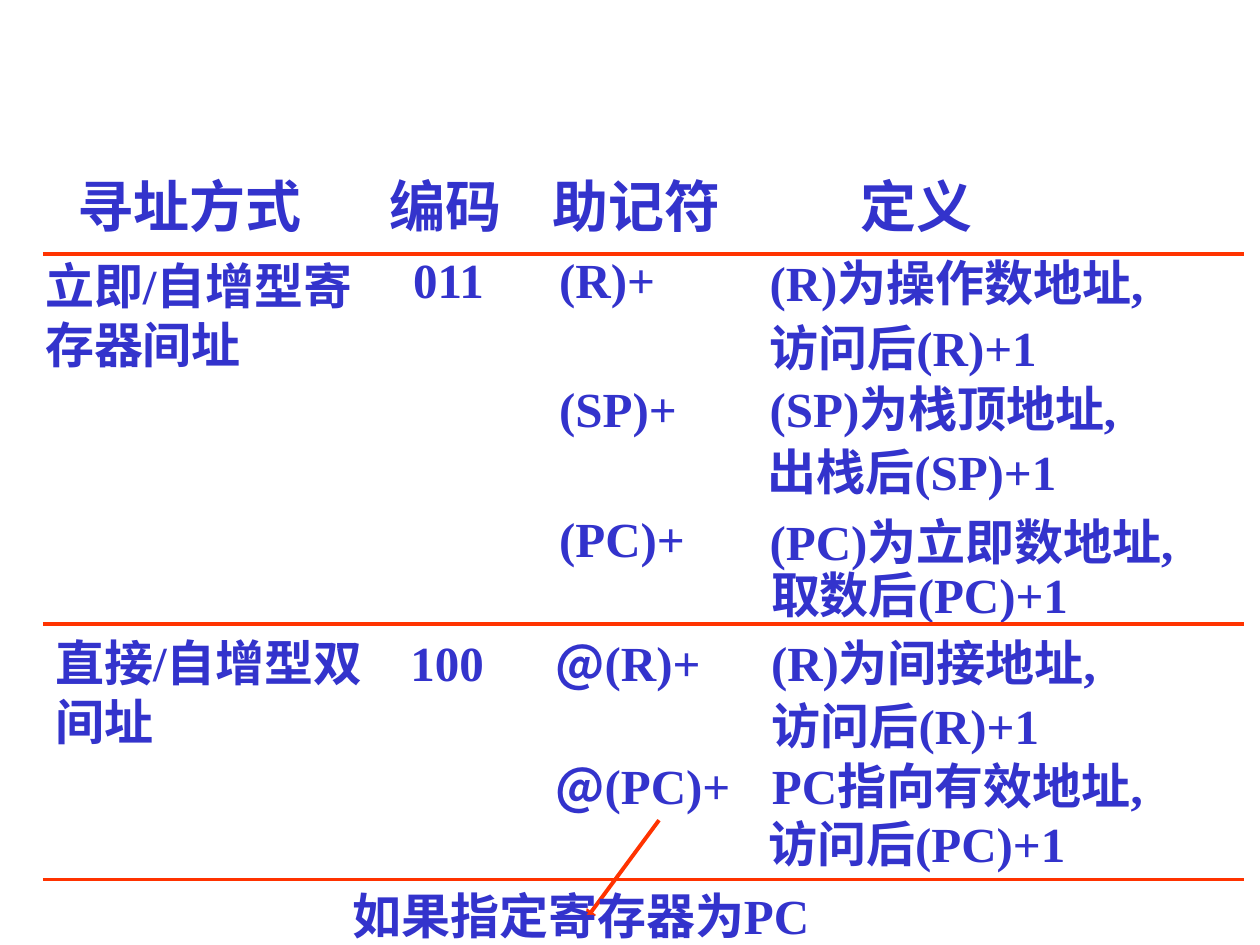
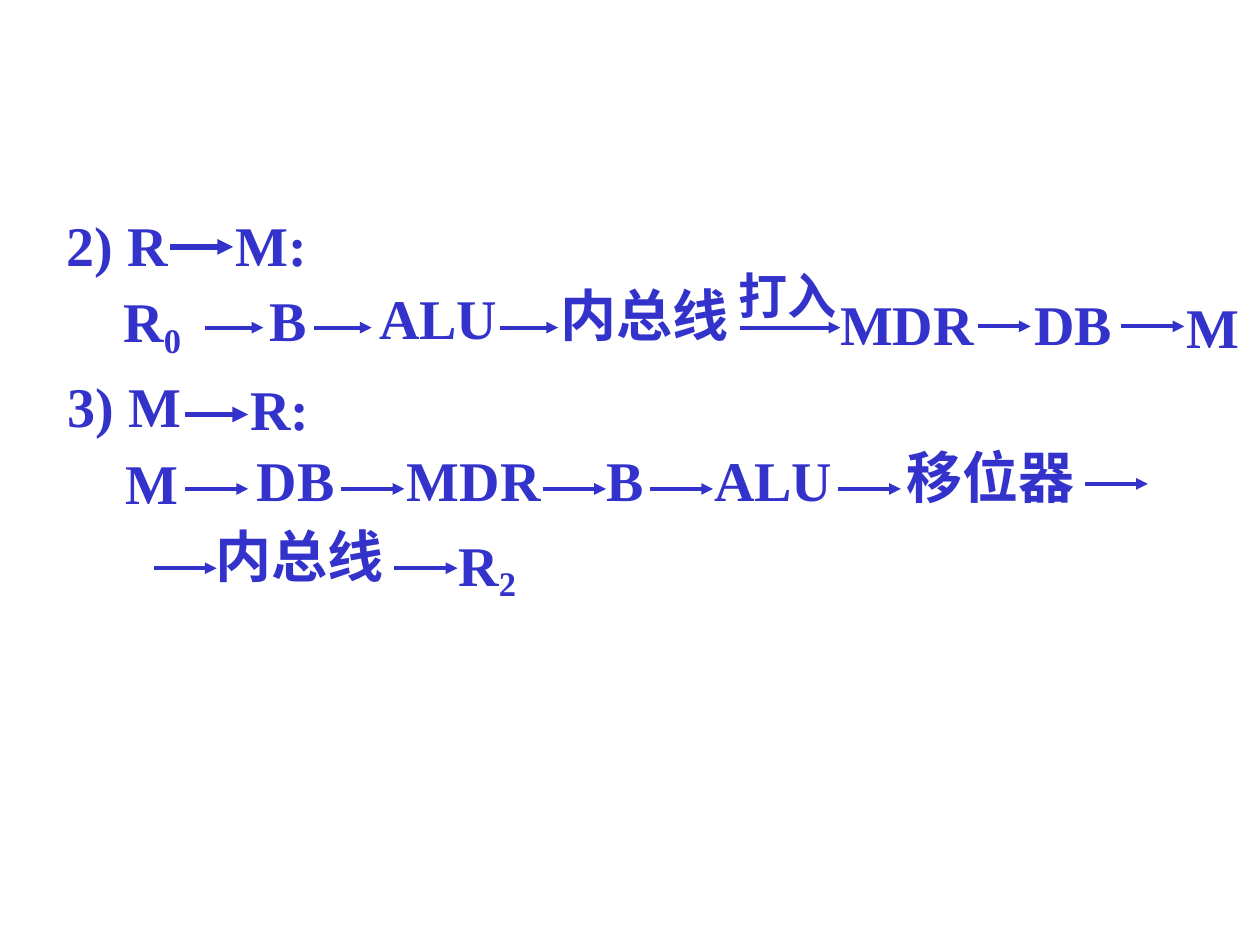
from dataclasses import dataclass

from lxml import etree
from pptx import Presentation
from pptx.dml.color import RGBColor
from pptx.enum.shapes import MSO_CONNECTOR
from pptx.enum.text import MSO_AUTO_SIZE
from pptx.oxml.ns import qn
from pptx.util import Pt

STRAIGHT = MSO_CONNECTOR.STRAIGHT
FIT_TEXT = MSO_AUTO_SIZE.SHAPE_TO_FIT_TEXT


@dataclass(frozen=True)
class Theme:
    ink: RGBColor = RGBColor(0x33, 0x33, 0xCC)
    accent: RGBColor = RGBColor(0xFF, 0x33, 0x00)
    font: str = "Times New Roman"
    symbol_font: str = "Noto Sans CJK KR"
    large: float = 32
    body: float = 28
    subscript: float = 34
    thin: float = 2.25
    thick: float = 3


class Deck:
    """Holds the theme and the slide being drawn."""

    def __init__(self, theme):
        self.theme = theme
        self.presentation = Presentation()
        self.presentation.slide_width = Pt(720)
        self.presentation.slide_height = Pt(540)
        self.slide = None

    def new_slide(self):
        self.slide = self.presentation.slides.add_slide(self.presentation.slide_layouts[6])

    def text(self, left, top, width, content, size, symbol="", subscript=""):
        """Bold label, optionally led by a symbol or followed by a subscript."""
        theme = self.theme
        height = size * 1.2 + 7.2
        box = self.slide.shapes.add_textbox(Pt(left), Pt(top), Pt(width), Pt(height))
        frame = box.text_frame
        frame.word_wrap = True
        frame.auto_size = FIT_TEXT
        paragraph = frame.paragraphs[0]
        font = paragraph.font
        font.bold = True
        font.size = Pt(size)
        font.color.rgb = theme.ink
        if not symbol:
            font.name = theme.font
        for part in filter(None, (symbol, content, subscript)):
            run = paragraph.add_run()
            run.text = part
            if symbol:
                run.font.name = theme.symbol_font if part == symbol else theme.font
        if subscript:
            run.font.size = Pt(theme.subscript)
            run.font._element.set("baseline", "-18000")

    def line(self, start, end, color, weight, arrow=False):
        connector = self.slide.shapes.add_connector(STRAIGHT, *map(Pt, start + end))
        connector.line.color.rgb = color
        connector.line.width = Pt(weight)
        if arrow:
            outline = connector.line._get_or_add_ln()
            etree.SubElement(outline, qn("a:tailEnd"), type="triangle")
        etree.SubElement(connector._element.spPr, qn("a:effectLst"))

    def rule(self, top):
        self.line((24.5, top), (710.6, top), self.theme.accent, self.theme.thin)

    def flow_arrow(self, left, top, length=36, weight=None):
        self.line((left, top), (left + length, top), self.theme.ink,
                  weight or self.theme.thin, arrow=True)

    def save(self):
        self.presentation.save("out.pptx")


def addressing_modes(deck):
    theme = deck.theme
    deck.new_slide()

    # Column headings
    for left, width, heading in ((37, 150, "寻址方式"), (215.5, 90, "编码"),
                                 (308.5, 115, "助记符"), (484.5, 90, "定义")):
        deck.text(left, 94.3, width, heading, theme.large)

    # Modes and codes
    for left, top, mode in ((18.7, 142.6, "立即/自增型寄存器间址"),
                            (24.5, 358, "直接/自增型双间址")):
        deck.text(left, top, 192.2, mode, theme.body)
    for left, top, code in ((229, 139, "011"), (227.5, 358, "100")):
        deck.text(left, top, 75, code, theme.body)

    # Mnemonics
    for top, mnemonic in ((139, "(R)+"), (213, "(SP)+"), (287.3, "(PC)+")):
        deck.text(312.5, top, 102, mnemonic, theme.body)
    for top, mnemonic in ((358, "(R)+"), (428.4, "(PC)+")):
        deck.text(310.3, top, 132, mnemonic, theme.body, symbol="@")

    # Definitions
    definitions = (
        (432.7, 141, "(R)为操作数地址,"),
        (432.7, 177.8, "访问后(R)+1"),
        (432.7, 213, "(SP)为栈顶地址,"),
        (431.5, 249, "出栈后(SP)+1"),
        (432.7, 288.7, "(PC)为立即数地址,"),
        (433.5, 319, "取数后(PC)+1"),
        (433.5, 358, "(R)为间接地址,"),
        (434, 394, "访问后(R)+1"),
        (434, 428.4, "PC指向有效地址,"),
        (432, 461.5, "访问后(PC)+1"),
    )
    for left, top, definition in definitions:
        deck.text(left, top, 275, definition, theme.body)

    # Rules and the note on PC
    for top in (145.4, 356.4, 502.6):
        deck.rule(top)
    deck.line((376.6, 468.7), (334, 526.3), theme.accent, theme.thin, arrow=True)
    deck.text(194.4, 502.6, 352.8, "如果指定寄存器为PC", theme.body)


def transfer_paths(deck):
    theme = deck.theme
    deck.new_slide()

    # Transfer headings
    headings = (
        (31, 116.6, "2) R", 127.4, 116.6, "M:", 97.2, 141.1),
        (31.7, 208.8, "3) M", 136, 210.2, "R:", 105.8, 236.9),
    )
    for left, top, source, target_left, target_top, target, arrow_left, arrow_top in headings:
        deck.text(left, top, 84, source, theme.large)
        deck.text(target_left, target_top, 84, target, theme.large)
        deck.flow_arrow(arrow_left, arrow_top, weight=theme.thick)

    # Register to memory, then memory to register
    stations = (
        (146.9, 159.8, 66, "B"), (209.5, 158.4, 90, "ALU"),
        (313.2, 157, 126, "内总线"), (473, 162, 101, "MDR"),
        (584, 162, 66, "DB"), (671, 163.4, 66, "M"),
        (64.8, 252.7, 66, "M"), (139.7, 251.3, 66, "DB"),
        (225.4, 251.3, 91.5, "MDR"), (339.8, 251.3, 66, "B"),
        (401, 251.3, 90, "ALU"), (511.2, 249.1, 124, "移位器"),
        (115.9, 294.5, 122.4, "内总线"),
    )
    for left, top, width, station in stations:
        deck.text(left, top, width, station, theme.large)
    for left, top, number in ((63.4, 158.4, "0"), (254.9, 297.4, "2")):
        deck.text(left, top, 66, "R", theme.large, subscript=number)
    deck.text(414.7, 148.3, 84, "打入", theme.body)

    # Arrows between stations
    for left, length in ((117.4, 33.1), (179.3, 33.1), (285.8, 33.1), (422.6, 57.6)):
        deck.flow_arrow(left, 187.2, length)
    for left, length in ((558.7, 30.2), (640.8, 36)):
        deck.flow_arrow(left, 186.5, length)
    for top, starts in ((279.4, (105.8, 195.1, 310.3, 371.5, 478.8)),
                        (276.5, (619.9,)), (324.7, (87.8, 225.4))):
        for left in starts:
            deck.flow_arrow(left, top)


def main():
    deck = Deck(Theme())
    addressing_modes(deck)
    transfer_paths(deck)
    deck.save()


if __name__ == "__main__":
    main()
